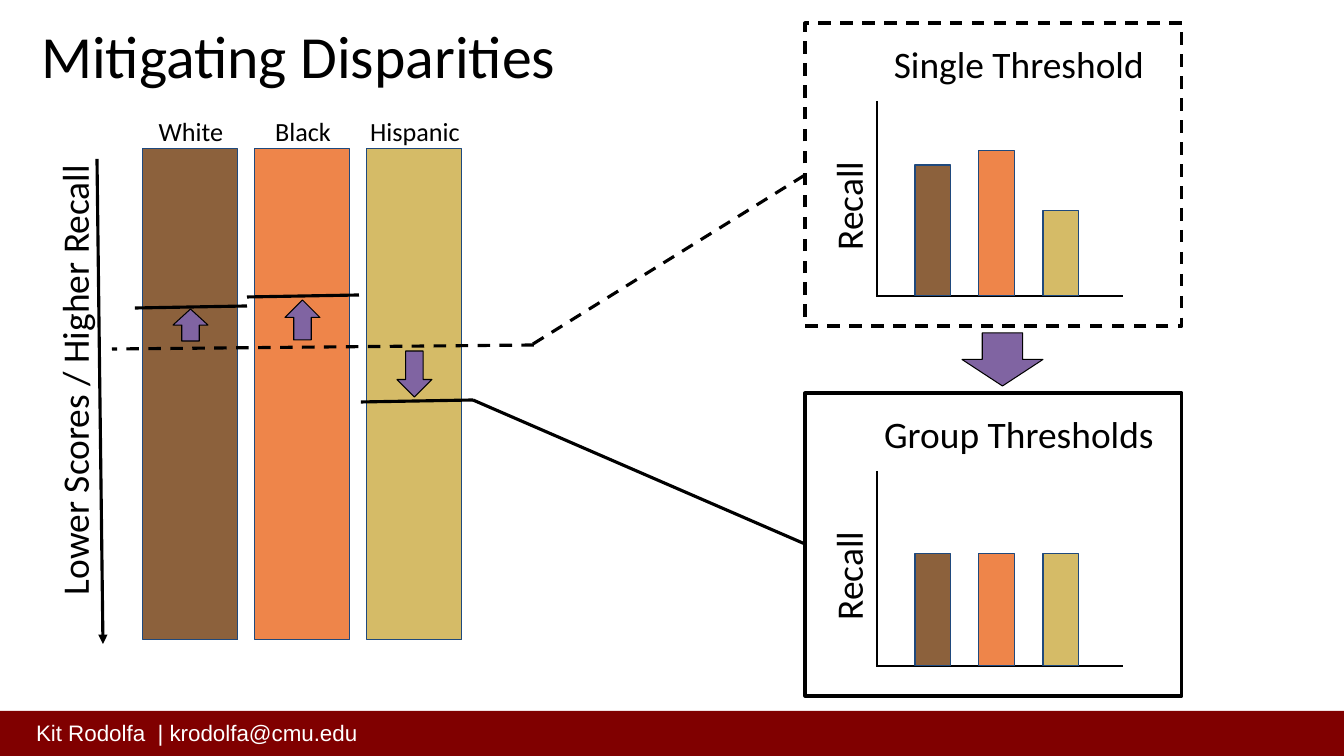
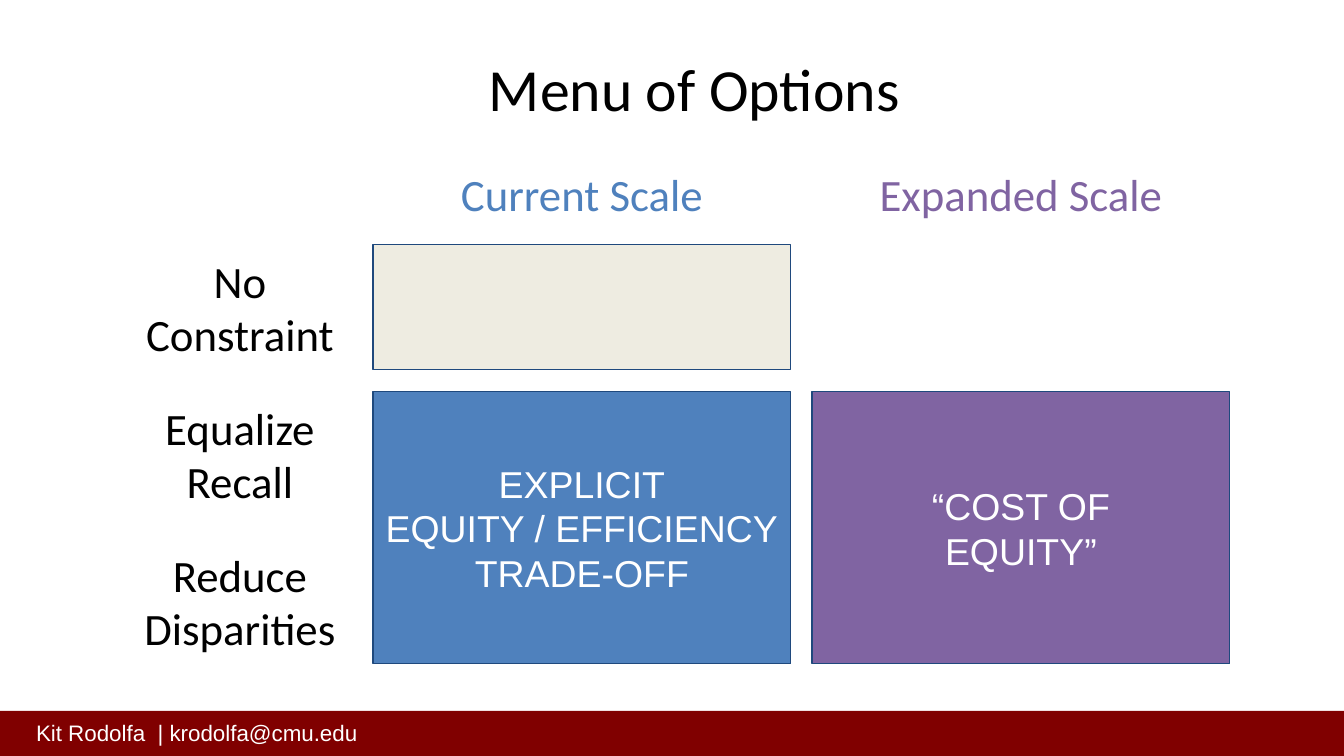
"""Build two slides on group thresholds and the menu of equity options."""
from dataclasses import dataclass

from lxml import etree
from pptx import Presentation
from pptx.dml.color import RGBColor
from pptx.enum.dml import MSO_LINE
from pptx.enum.shapes import MSO_CONNECTOR, MSO_SHAPE
from pptx.enum.text import MSO_ANCHOR, MSO_AUTO_SIZE, PP_ALIGN
from pptx.oxml.ns import qn
from pptx.util import Emu, Pt

RECT, DOWN_ARROW = MSO_SHAPE.RECTANGLE, MSO_SHAPE.DOWN_ARROW
STRAIGHT, DASH = MSO_CONNECTOR.STRAIGHT, MSO_LINE.DASH
LEFT, CENTER = PP_ALIGN.LEFT, PP_ALIGN.CENTER
TOP, MIDDLE = MSO_ANCHOR.TOP, MSO_ANCHOR.MIDDLE
NO_AUTOFIT = MSO_AUTO_SIZE.NONE

PX_PER_INCH = 100.8
SLIDE_WIDTH, SLIDE_HEIGHT = 1344, 756
TITLE_ONLY = 5
BLACK, WHITE, MAROON = "000000", "FFFFFF", "800000"
NAVY, BLUE, PURPLE, CREAM = "1F497D", "4F81BD", "8064A2", "EEECE1"
BODY_FONT, BAND_FONT = "Calibri", "Arial"
TITLE_SIZE, HEADING_SIZE, LABEL_SIZE, GROUP_SIZE, BAND_SIZE = 42.7, 32, 26.7, 18.7, 16
THIN, AXIS_WIDTH, THICK = 0.75, 1.5, 2.25
INSET = 13

COLUMN_TOP, COLUMN_WIDTH, COLUMN_HEIGHT = 149, 95, 491
COLUMN_LEFT, COLUMN_PITCH = 143, 112
PANEL_LEFT, PANEL_WIDTH, PANEL_HEIGHT = 805, 377, 303
BAR_LEFT, BAR_PITCH, BAR_WIDTH = 915, 64, 36
CELL_LEFT, CELL_WIDTH, CELL_PITCH = 373, 418, 439
ROW_TOP, ROW_HEIGHT, ROW_PITCH = 245, 125, 147


@dataclass(frozen=True)
class Box:
    """A frame in px."""
    left: int
    top: int
    width: int
    height: int


@dataclass(frozen=True)
class Group:
    """A score column with its threshold and the shift towards it."""
    name: str
    color: str
    threshold_left: int
    threshold_top: int
    arrow_top: int
    arrow_height: int
    arrow_turn: int


@dataclass(frozen=True)
class Panel:
    """A small recall chart in a frame."""
    heading: str
    top: int
    bar_heights: tuple[int, ...]
    dash: object


@dataclass(frozen=True)
class Scale:
    """A column of the menu of options."""
    heading: str
    color: str
    lines: tuple[str, ...]


GROUPS = (
    Group("White", "8C613C", 135, 308, 309, 32, 180),
    Group("Black", "EE854A", 247, 297, 300, 40, 180),
    Group("Hispanic", "D5BB67", 361, 402, 351, 46, 0),
)
PANELS = (
    Panel("Single Threshold", 23, (131, 145, 85), DASH),
    Panel("Group Thresholds", 393, (112, 112, 112), None),
)
SCALES = (
    Scale("Current Scale", BLUE, ("EXPLICIT", "EQUITY / EFFICIENCY", "TRADE-OFF")),
    Scale("Expanded Scale", PURPLE, ("“COST OF", "EQUITY”")),
)
CONSTRAINTS = (("No", "Constraint"), ("Equalize", "Recall"), ("Reduce", "Disparities"))


def px(length: int) -> Emu:
    """Turn px into EMU."""
    return Emu(round(length * 914400 / PX_PER_INCH))


def rgb(color: str) -> RGBColor:
    """Turn a hex string into a colour."""
    return RGBColor.from_string(color)


def frame(box: Box) -> tuple[Emu, Emu, Emu, Emu]:
    """Give a box as EMU lengths."""
    return px(box.left), px(box.top), px(box.width), px(box.height)


def write(shape, *lines: str, size: float = LABEL_SIZE, font: str = BODY_FONT,
          color: str = BLACK, align=CENTER, anchor=TOP, side: int = INSET,
          edge: int = INSET) -> None:
    """Write one paragraph per line into a shape."""
    text = shape.text_frame
    text.auto_size = NO_AUTOFIT
    text.word_wrap = True
    text.vertical_anchor = anchor
    text.margin_left = text.margin_right = px(side)
    text.margin_top = text.margin_bottom = px(edge)
    text.text = "\n".join(lines)
    for paragraph in text.paragraphs:
        paragraph.alignment = align
        if len(lines) > 1:
            paragraph.line_spacing = Pt(round(size * 1.2))
        paragraph.font.size = Pt(size)
        paragraph.font.name = font
        paragraph.font.color.rgb = rgb(color)


def add_label(slide, box: Box, *lines: str, turn: int = 0, **style):
    """Add a text box."""
    label = slide.shapes.add_textbox(*frame(box))
    label.rotation = turn
    write(label, *lines, **style)
    return label


def add_block(slide, box: Box, fill: str | None = None, outline: str | None = NAVY,
              width: float = THIN, dash=None, preset=RECT, turn: int = 0):
    """Add a preset shape with a plain fill and outline."""
    block = slide.shapes.add_shape(preset, *frame(box))
    block.shadow.inherit = False
    block.rotation = turn
    if fill:
        block.fill.solid()
        block.fill.fore_color.rgb = rgb(fill)
    else:
        block.fill.background()
    if outline:
        block.line.color.rgb = rgb(outline)
        block.line.width = Pt(width)
        block.line.dash_style = dash
    else:
        block.line.fill.background()
    return block


def add_line(slide, start: tuple[int, int], end: tuple[int, int],
             width: float = THICK, dash=None, arrow: bool = False) -> None:
    """Add a straight black line, with an arrowhead at its end if asked."""
    line = slide.shapes.add_connector(STRAIGHT, *map(px, (*start, *end)))
    line.line.color.rgb = rgb(BLACK)
    line.line.width = Pt(width)
    line.line.dash_style = dash
    properties = line.element.spPr
    if arrow:
        etree.SubElement(properties.find(qn("a:ln")), qn("a:tailEnd"), type="triangle")
    etree.SubElement(properties, qn("a:effectLst"))


def add_titled_slide(deck, title: str, box: Box, align):
    """Add a slide with a formatted title."""
    slide = deck.slides.add_slide(deck.slide_layouts[TITLE_ONLY])
    heading = slide.shapes.title
    heading.left, heading.top, heading.width, heading.height = frame(box)
    write(heading, title, size=TITLE_SIZE, align=align)
    return slide


def move_band_to_layout(slide) -> None:
    """Draw the footer band once, on the layout that the slides share."""
    layout = slide.slide_layout
    for placeholder in list(layout.placeholders):
        if placeholder.placeholder_format.idx:
            layout.shapes.element.remove(placeholder.element)
    band = add_block(slide, Box(0, 711, SLIDE_WIDTH, 45), MAROON, None)
    author = add_label(slide, Box(23, 712, 508, 40), "Kit Rodolfa  | krodolfa@cmu.edu",
                       size=BAND_SIZE, font=BAND_FONT, color=WHITE, align=LEFT, edge=7)
    for part in (band, author):
        layout.shapes.element.append(part.element)


def draw_columns(slide) -> None:
    """Draw the score columns, the shared threshold and the score axis."""
    for index, group in enumerate(GROUPS):
        left = COLUMN_LEFT + index * COLUMN_PITCH
        add_block(slide, Box(left, COLUMN_TOP, COLUMN_WIDTH, COLUMN_HEIGHT), group.color)
        add_label(slide, Box(left - 12, 102, 120, 64), group.name, size=GROUP_SIZE)
    add_line(slide, (97, 159), (103, 644), arrow=True)
    add_label(slide, Box(-165, 351, 465, 58), "Lower Scores / Higher Recall", turn=270)
    add_line(slide, (534, 345), (112, 349), dash=DASH)


def draw_thresholds(slide) -> None:
    """Draw each group's threshold and the arrow that leads to it."""
    for index, group in enumerate(GROUPS):
        start = group.threshold_left, group.threshold_top
        add_line(slide, start, (start[0] + COLUMN_PITCH, start[1] - 2))
        arrow_left = COLUMN_LEFT + index * COLUMN_PITCH + 30
        add_block(slide, Box(arrow_left, group.arrow_top, 35, group.arrow_height), PURPLE,
                  BLACK, preset=DOWN_ARROW, turn=group.arrow_turn)


def draw_panel(slide, panel: Panel) -> None:
    """Draw a framed recall chart."""
    base = panel.top + 273
    add_block(slide, Box(PANEL_LEFT, panel.top, PANEL_WIDTH, PANEL_HEIGHT),
              outline=BLACK, width=THICK, dash=panel.dash)
    add_line(slide, (877, panel.top + 78), (877, base + 1), AXIS_WIDTH)
    add_line(slide, (877, base), (1123, base), AXIS_WIDTH)
    for index, (group, height) in enumerate(zip(GROUPS, panel.bar_heights)):
        left = BAR_LEFT + index * BAR_PITCH
        add_block(slide, Box(left, base - height, BAR_WIDTH, height), group.color)
    add_label(slide, Box(801, panel.top + 124, 128, 105), "Recall", turn=270, align=LEFT)
    add_label(slide, Box(855, panel.top + 5, 328, 64), panel.heading)


def build_disparities(deck) -> None:
    """Build the slide on mitigating disparities."""
    slide = add_titled_slide(deck, "Mitigating Disparities", Box(28, 6, 1289, 112), LEFT)
    move_band_to_layout(slide)
    draw_columns(slide)
    for panel in PANELS:
        draw_panel(slide, panel)
    add_line(slide, (533, 344), (PANEL_LEFT, 175), dash=DASH)
    add_line(slide, (473, 400), (PANEL_LEFT, 544))
    add_block(slide, Box(962, 333, 81, 53), PURPLE, BLACK, preset=DOWN_ARROW)
    draw_thresholds(slide)


def build_menu(deck) -> None:
    """Build the slide with the menu of options."""
    slide = add_titled_slide(deck, "Menu of Options", Box(50, 39, 1289, 112), CENTER)
    add_block(slide, Box(CELL_LEFT, ROW_TOP, CELL_WIDTH, ROW_HEIGHT), CREAM)
    for index, scale in enumerate(SCALES):
        left = CELL_LEFT + index * CELL_PITCH
        add_label(slide, Box(left + 35, 164, 348, 60), scale.heading,
                  size=HEADING_SIZE, color=scale.color, anchor=MIDDLE)
        cell = add_block(slide, Box(left, ROW_TOP + ROW_PITCH, CELL_WIDTH,
                                    ROW_PITCH + ROW_HEIGHT), scale.color)
        write(cell, *scale.lines, font=BAND_FONT, color=WHITE, anchor=MIDDLE, side=8)
    for index, lines in enumerate(CONSTRAINTS):
        add_label(slide, Box(107, ROW_TOP + index * ROW_PITCH, 266, ROW_HEIGHT), *lines,
                  size=HEADING_SIZE, anchor=MIDDLE)


def main() -> None:
    """Build and save the deck."""
    deck = Presentation()
    deck.slide_width, deck.slide_height = px(SLIDE_WIDTH), px(SLIDE_HEIGHT)
    build_disparities(deck)
    build_menu(deck)
    deck.save("out.pptx")


if __name__ == "__main__":
    main()
